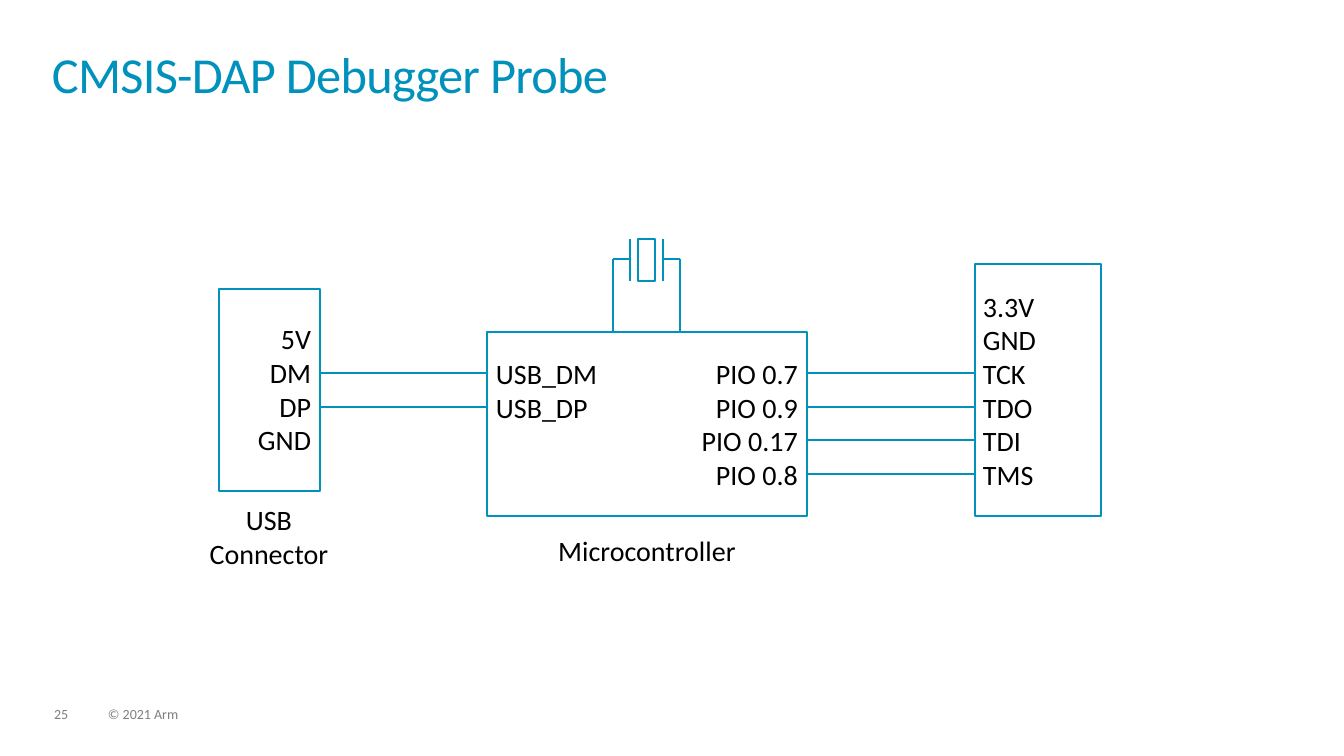
from lxml import etree
from pptx import Presentation
from pptx.dml.color import RGBColor
from pptx.enum.shapes import MSO_CONNECTOR, MSO_SHAPE
from pptx.enum.text import MSO_ANCHOR, PP_ALIGN
from pptx.oxml.ns import qn
from pptx.util import Pt

LEFT, CENTER, RIGHT = PP_ALIGN.LEFT, PP_ALIGN.CENTER, PP_ALIGN.RIGHT
TOP, MIDDLE = MSO_ANCHOR.TOP, MSO_ANCHOR.MIDDLE
RECTANGLE, STRAIGHT = MSO_SHAPE.RECTANGLE, MSO_CONNECTOR.STRAIGHT

# Content: lengths in px, 100.8 px to the inch
TITLE = "CMSIS-DAP Debugger Probe"
FOOTER = [("25", 54, 34), ("© 2021 Arm", 108, 511)]  # text, left, width
BLUE, BLACK, GRAY = "0091BD", "000000", "7F7F7F"

# Blocks: left, top, width, height
USB_BLOCK = (219, 289, 101, 202)
CHIP_BLOCK = (487, 332, 320, 184)
DEBUG_BLOCK = (975, 264, 126, 252)
CRYSTAL = (638, 239, 17, 42)

# Pin columns: left, width, alignment, centre of row 0, first row, names
PIN_COLUMNS = [
    (227, 84, RIGHT, 372, -1, ["5V", "DM", "DP", "GND"]),
    (496, 117, LEFT, 373, 0, ["USB_DM", "USB_DP"]),
    (698, 100, RIGHT, 373, 0, ["PIO 0.7", "PIO 0.9", "PIO 0.17", "PIO 0.8"]),
    (983, 100, LEFT, 373, -2, ["3.3V", "GND", "TCK", "TDO", "TDI", "TMS"]),
]
CAPTIONS = [  # text, left, top, width, height
    ("USB\nConnector", 168, 497, 202, 78),
    ("Microcontroller", 546, 525, 202, 50),
]
# Wires between blocks: from x, to x, number of rows
WIRES = [(320, 487, 2), (807, 975, 4)]
FIRST_WIRE = 373
PIN_HEIGHT = 50

SCALE = 914400 / 100.8


def px(length):
    return round(length * SCALE)


def color(value):
    return RGBColor.from_string(value)


def row_offset(row):
    return round(row * 100.8 / 3)  # three rows to the inch


def add_text(text, left, top, width, height, size=20, ink=BLACK,
             align=LEFT, anchor=MIDDLE, spacing=None):
    box = slide.shapes.add_textbox(px(left), px(top), px(width), px(height))
    frame = box.text_frame
    frame.margin_left = frame.margin_right = 0
    frame.margin_top = frame.margin_bottom = 0
    frame.word_wrap = True
    frame.vertical_anchor = anchor
    paragraph = frame.paragraphs[0]
    paragraph.text = text
    paragraph.alignment = align
    if spacing:
        paragraph.line_spacing = spacing
    paragraph.font.name = "Calibri"
    paragraph.font.size = Pt(size)
    paragraph.font.color.rgb = color(ink)
    return paragraph


def add_block(left, top, width, height):
    block = slide.shapes.add_shape(RECTANGLE, px(left), px(top), px(width), px(height))
    block.shadow.inherit = False
    block.fill.background()
    block.line.color.rgb = color(BLUE)
    block.line.width = Pt(1)


def add_wire(x1, y1, x2, y2):
    wire = slide.shapes.add_connector(STRAIGHT, px(x1), px(y1), px(x2), px(y2))
    wire.line.color.rgb = color(BLUE)
    wire.line.width = Pt(1)
    etree.SubElement(wire.element.spPr, qn("a:effectLst"))


presentation = Presentation()
presentation.slide_width = px(1344)
presentation.slide_height = px(756)
slide = presentation.slides.add_slide(presentation.slide_layouts[6])

# Title and footer
title = add_text(TITLE, 52, 52, 1238, 73, size=36, ink=BLUE, anchor=TOP, spacing=0.85)
title.runs[0].font._element.set("spc", "-50")
for text, left, width in FOOTER:
    add_text(text, left, 707, width, 15, size=10, ink=GRAY, anchor=TOP, spacing=0.9)

# Blocks and the crystal body
for block_box in (USB_BLOCK, CHIP_BLOCK, DEBUG_BLOCK, CRYSTAL):
    add_block(*block_box)

# Pin names
for left, width, align, center, first_row, names in PIN_COLUMNS:
    for row, name in enumerate(names, first_row):
        top = center + row_offset(row) - PIN_HEIGHT // 2
        add_text(name, left, top, width, PIN_HEIGHT, align=align)

# Captions
for text, *caption_box in CAPTIONS:
    add_text(text, *caption_box, align=CENTER)

# Wires between blocks
for start, end, rows in WIRES:
    for row in range(rows):
        y = FIRST_WIRE + row_offset(row)
        add_wire(start, y, end, y)

# Crystal plates and leads, left then right
crystal_left, crystal_top, crystal_width, crystal_height = CRYSTAL
lead_y = crystal_top + crystal_height // 2 - 1
for edge, side in ((crystal_left, -1), (crystal_left + crystal_width, 1)):
    plate_x = edge + side * 8
    lead_x = plate_x + side * 17
    add_wire(plate_x, crystal_top, plate_x, crystal_top + crystal_height)
    add_wire(plate_x, lead_y, lead_x, lead_y)
    add_wire(lead_x, lead_y, lead_x, CHIP_BLOCK[1])

presentation.save("out.pptx")
